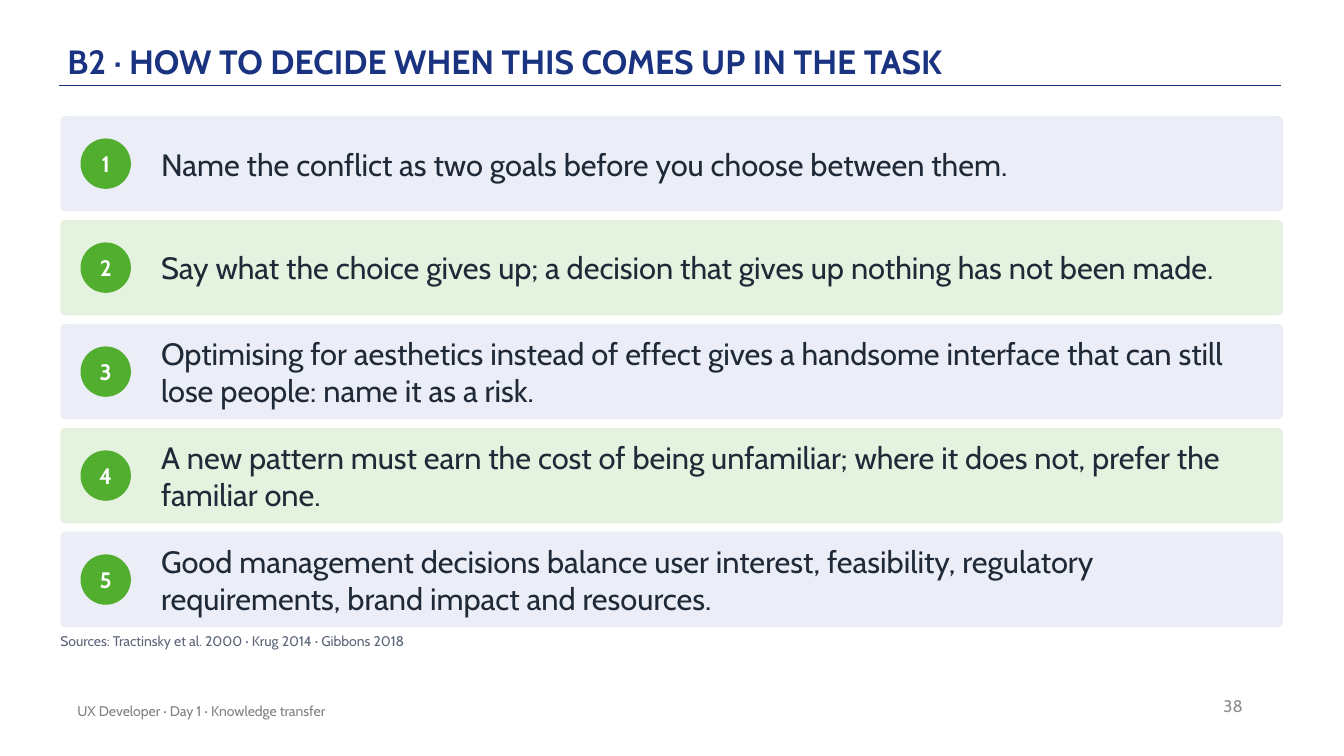
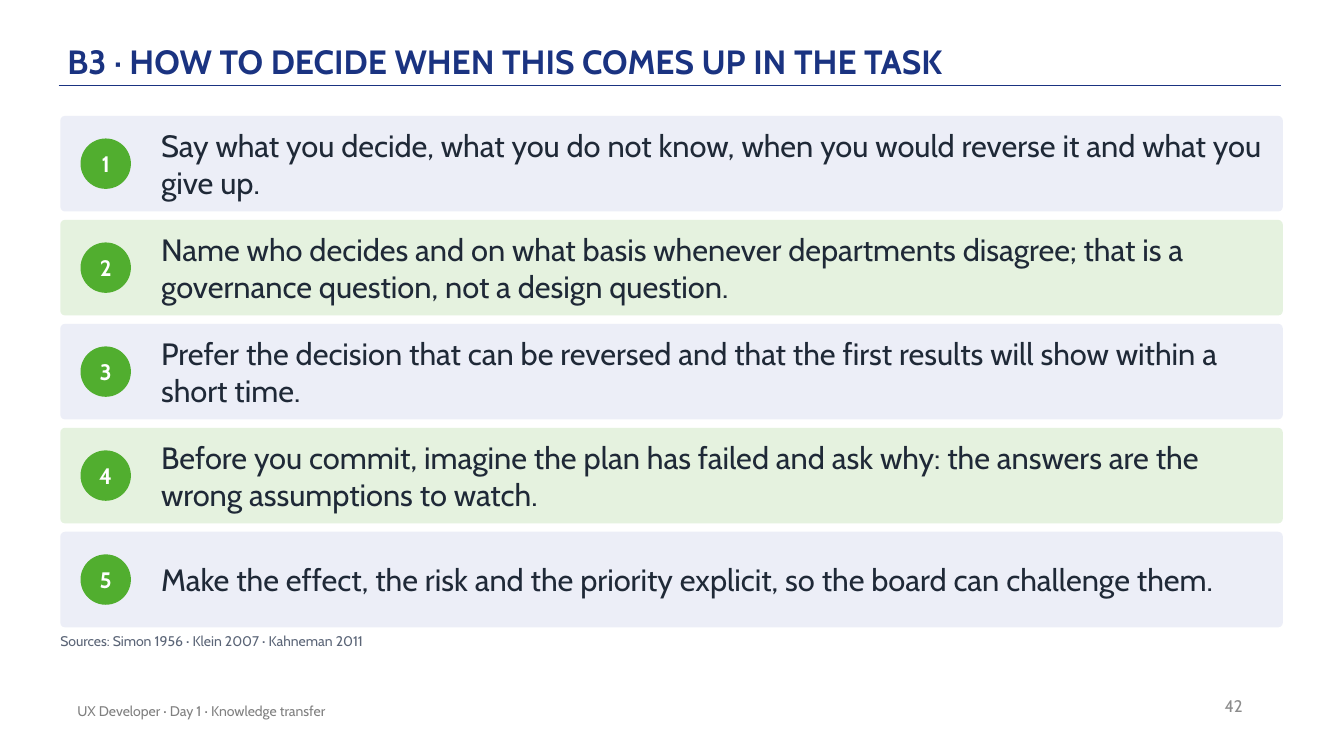
from lxml import etree
from pptx import Presentation
from pptx.dml.color import RGBColor
from pptx.enum.shapes import MSO_CONNECTOR, MSO_SHAPE
from pptx.enum.text import MSO_ANCHOR as Anchor, MSO_AUTO_SIZE as AutoSize, PP_ALIGN as Align
from pptx.oxml.ns import qn
from pptx.util import Cm, Pt

FONT = "Cabin"
COLOURS = {
    "title": "1A3381",
    "band_odd": "ECEEF7",
    "band_even": "E5F2DF",
    "badge": "51AE2F",
    "badge_text": "FFFFFF",
    "body": "1F2937",
    "source": "5B6577",
    "footer": "808080",
    "number": "8C8C8C",
}
FOOTER = "UX Developer · Day 1 · Knowledge transfer"

# Lengths in centimetres
BAND_LEFT, BAND_TOP = 1.52, 2.92
BAND_WIDTH, BAND_HEIGHT = 30.81, 2.41
BAND_PITCH = 2.62
BADGE_SIZE = 1.27
BADGE_INSET, TEXT_INSET = 0.51, 2.54

SLIDES = [
    {
        "title": "B2 · HOW TO DECIDE WHEN THIS COMES UP IN THE TASK",
        "number": 38,
        "rules": [
            "Name the conflict as two goals before you choose between them.",
            "Say what the choice gives up; a decision that gives up nothing has not been made.",
            "Optimising for aesthetics instead of effect gives a handsome interface that can "
            "still lose people: name it as a risk.",
            "A new pattern must earn the cost of being unfamiliar; where it does not, prefer "
            "the familiar one.",
            "Good management decisions balance user interest, feasibility, regulatory "
            "requirements, brand impact and resources.",
        ],
        "sources": "Sources: Tractinsky et al. 2000 · Krug 2014 · Gibbons 2018",
    },
    {
        "title": "B3 · HOW TO DECIDE WHEN THIS COMES UP IN THE TASK",
        "number": 42,
        "rules": [
            "Say what you decide, what you do not know, when you would reverse it and what "
            "you give up.",
            "Name who decides and on what basis whenever departments disagree; that is a "
            "governance question, not a design question.",
            "Prefer the decision that can be reversed and that the first results will show "
            "within a short time.",
            "Before you commit, imagine the plan has failed and ask why: the answers are the "
            "wrong assumptions to watch.",
            "Make the effect, the risk and the priority explicit, so the board can challenge "
            "them.",
        ],
        "sources": "Sources: Simon 1956 · Klein 2007 · Kahneman 2011",
    },
]


def rgb(name):
    return RGBColor.from_string(COLOURS[name])


def write(shape, text, size, colour, bold=False, align=Align.LEFT,
          anchor=Anchor.MIDDLE, insets=(0, 0)):
    """Fill a shape with one styled paragraph; insets are (sides, top and bottom) in cm."""
    frame = shape.text_frame
    frame.text = text
    frame.word_wrap = True
    frame.auto_size = AutoSize.NONE
    frame.vertical_anchor = anchor
    frame.margin_left = frame.margin_right = Cm(insets[0])
    frame.margin_top = frame.margin_bottom = Cm(insets[1])
    para = frame.paragraphs[0]
    para.alignment = align
    font = para.runs[0].font
    font.name, font.size, font.bold = FONT, Pt(size), bold
    font.color.rgb = rgb(colour)
    return para


def add_text(page, left, top, width, height, text, size, colour, **style):
    box = page.shapes.add_textbox(Cm(left), Cm(top), Cm(width), Cm(height))
    write(box, text, size, colour, **style)


def add_filled(page, kind, left, top, width, height, colour):
    shape = page.shapes.add_shape(kind, Cm(left), Cm(top), Cm(width), Cm(height))
    shape.shadow.inherit = False
    shape.fill.solid()
    shape.fill.fore_color.rgb = rgb(colour)
    shape.line.fill.background()
    return shape


def add_title(page, text):
    title = page.shapes.title
    title.left, title.top, title.width, title.height = Cm(1.7), Cm(0.3), Cm(27.94), Cm(1.83)
    para = write(title, text, 24, "title", bold=True, anchor=Anchor.BOTTOM, insets=(0, 0.08))
    para.line_spacing = 0.9
    underline = page.shapes.add_connector(
        MSO_CONNECTOR.STRAIGHT, Cm(1.48), Cm(2.16), Cm(32.28), Cm(2.16))
    underline.line.color.rgb = rgb("title")
    underline.line.width = Pt(1)
    etree.SubElement(underline._element.spPr, qn("a:effectLst"))


def add_footer(page, number):
    add_text(page, 23.95, 17.27, 7.62, 1.02, str(number), 12, "number",
             align=Align.RIGHT, insets=(0.25, 0.13))
    add_text(page, 1.7, 17.4, 17.02, 1.02, FOOTER, 10, "footer", insets=(0.25, 0.13))


def add_rule(page, index, text):
    """Add one numbered band; bands alternate in colour."""
    top = BAND_TOP + index * BAND_PITCH
    colour = "band_even" if index % 2 else "band_odd"
    band = add_filled(page, MSO_SHAPE.ROUNDED_RECTANGLE,
                      BAND_LEFT, top, BAND_WIDTH, BAND_HEIGHT, colour)
    band.adjustments[0] = 0.05
    badge = add_filled(page, MSO_SHAPE.OVAL, BAND_LEFT + BADGE_INSET,
                       top + (BAND_HEIGHT - BADGE_SIZE) / 2, BADGE_SIZE, BADGE_SIZE, "badge")
    write(badge, str(index + 1), 16, "badge_text", bold=True, align=Align.CENTER)
    add_text(page, BAND_LEFT + TEXT_INSET, top, BAND_WIDTH - TEXT_INSET - BADGE_INSET,
             BAND_HEIGHT, text, 22, "body")


def add_rules_slide(deck, content):
    page = deck.slides.add_slide(deck.slide_layouts[5])
    add_title(page, content["title"])
    add_footer(page, content["number"])
    for index, text in enumerate(content["rules"]):
        add_rule(page, index, text)
    add_text(page, BAND_LEFT, 15.93, BAND_WIDTH, 0.76, content["sources"], 10, "source",
             anchor=Anchor.TOP)


def main():
    deck = Presentation()
    deck.slide_width, deck.slide_height = Cm(33.87), Cm(19.05)
    for content in SLIDES:
        add_rules_slide(deck, content)
    deck.save("out.pptx")


if __name__ == "__main__":
    main()
